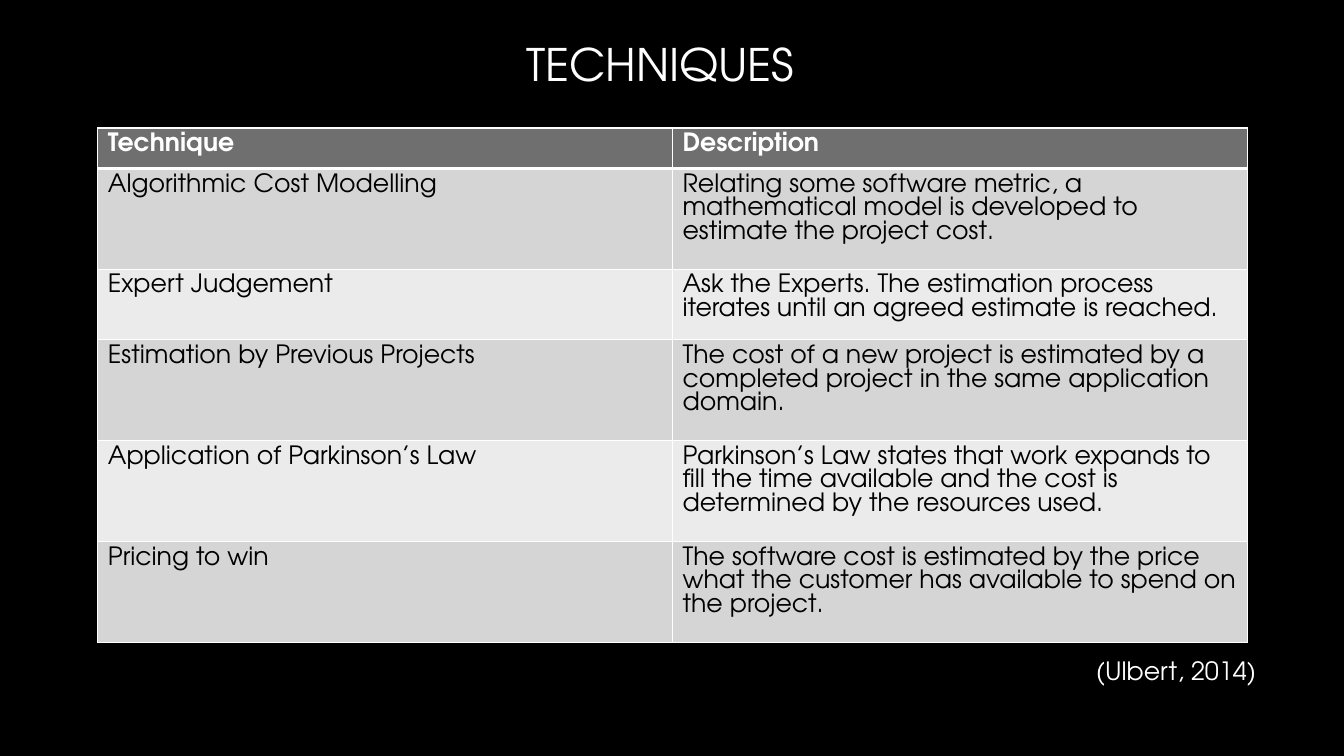
from lxml.etree import SubElement
from pptx import Presentation
from pptx.dml.color import RGBColor
from pptx.enum.text import MSO_ANCHOR
from pptx.oxml.ns import qn
from pptx.util import Inches, Pt

BLACK = RGBColor(0x00, 0x00, 0x00)
WHITE = RGBColor(0xFF, 0xFF, 0xFF)
HEADER_GRAY = RGBColor(0x6F, 0x6F, 0x6F)
BAND_GRAYS = [RGBColor(0xEB, 0xEB, 0xEB), RGBColor(0xD5, 0xD5, 0xD5)]
FONT = "TeX Gyre Adventor"

ROWS = [
    ("Technique", "Description"),
    ("Algorithmic Cost Modelling",
     "Relating some software metric, a mathematical model is developed to estimate the project cost."),
    ("Expert Judgement",
     "Ask the Experts. The estimation process iterates until an agreed estimate is reached."),
    ("Estimation by Previous Projects",
     "The cost of a new project is estimated by a completed project in the same application domain."),
    ("Application of Parkinson’s Law",
     "Parkinson’s Law states that work expands to fill the time available and the cost is "
     "determined by the resources used."),
    ("Pricing to win",
     "The software cost is estimated by the price what the customer has available to spend on the project."),
]
ROW_HEIGHTS = [0.39, 1, 0.7, 1, 1, 1]


def write_text(text_frame, text, size=18, color=WHITE, bold=False):
    text_frame.word_wrap = True
    run = text_frame.paragraphs[0].add_run()
    run.text = text
    run.font.color.rgb = color
    for name, value in {"name": FONT, "size": Pt(size), "bold": bold}.items():
        setattr(run.font, name, value)


def add_borders(cell, widths):
    """Draw white cell edges; widths maps each edge tag to points."""
    properties = cell._tc.get_or_add_tcPr()
    for index, (edge, width) in enumerate(widths.items()):
        line = SubElement(properties, qn(f"a:{edge}"), w=str(Pt(width)))
        fill = SubElement(line, qn("a:solidFill"))
        SubElement(fill, qn("a:srgbClr"), val=str(WHITE))
        properties.insert(index, line)


presentation = Presentation()
presentation.slide_width = Inches(13.33)
presentation.slide_height = Inches(7.5)
slide = presentation.slides.add_slide(presentation.slide_layouts[6])
slide.background.fill.solid()
slide.background.fill.fore_color.rgb = BLACK

title = slide.shapes.add_textbox(Inches(5.12), Inches(0), Inches(3.1), Inches(1.27))
title.text_frame.vertical_anchor = MSO_ANCHOR.MIDDLE
write_text(title.text_frame, "TECHNIQUES", size=32)

table = slide.shapes.add_table(
    len(ROWS), 2, Inches(0.97), Inches(1.27), Inches(11.4), Inches(sum(ROW_HEIGHTS))
).table
for row_index, (texts, height) in enumerate(zip(ROWS, ROW_HEIGHTS)):
    is_header = row_index == 0
    table.rows[row_index].height = Inches(height)
    for column_index, text in enumerate(texts):
        cell = table.cell(row_index, column_index)
        cell.fill.solid()
        cell.fill.fore_color.rgb = HEADER_GRAY if is_header else BAND_GRAYS[row_index % 2]
        write_text(cell.text_frame, text, color=WHITE if is_header else BLACK, bold=is_header)
        add_borders(cell, {"lnL": 1, "lnR": 1, "lnT": 3 if row_index == 1 else 1,
                           "lnB": 3 if is_header else 1})

citation = slide.shapes.add_textbox(Inches(10.77), Inches(6.45), Inches(1.95), Inches(0.4))
write_text(citation.text_frame, "(Ulbert, 2014)")

presentation.save("out.pptx")
